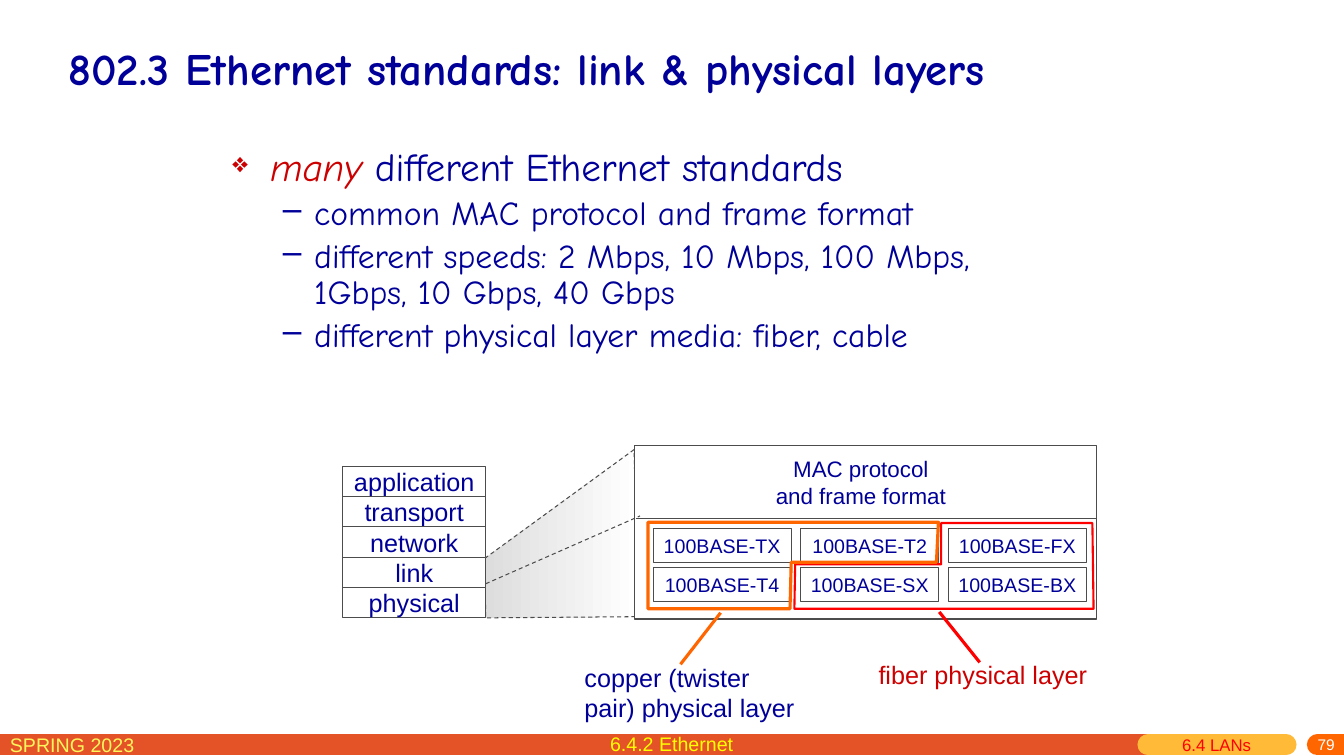
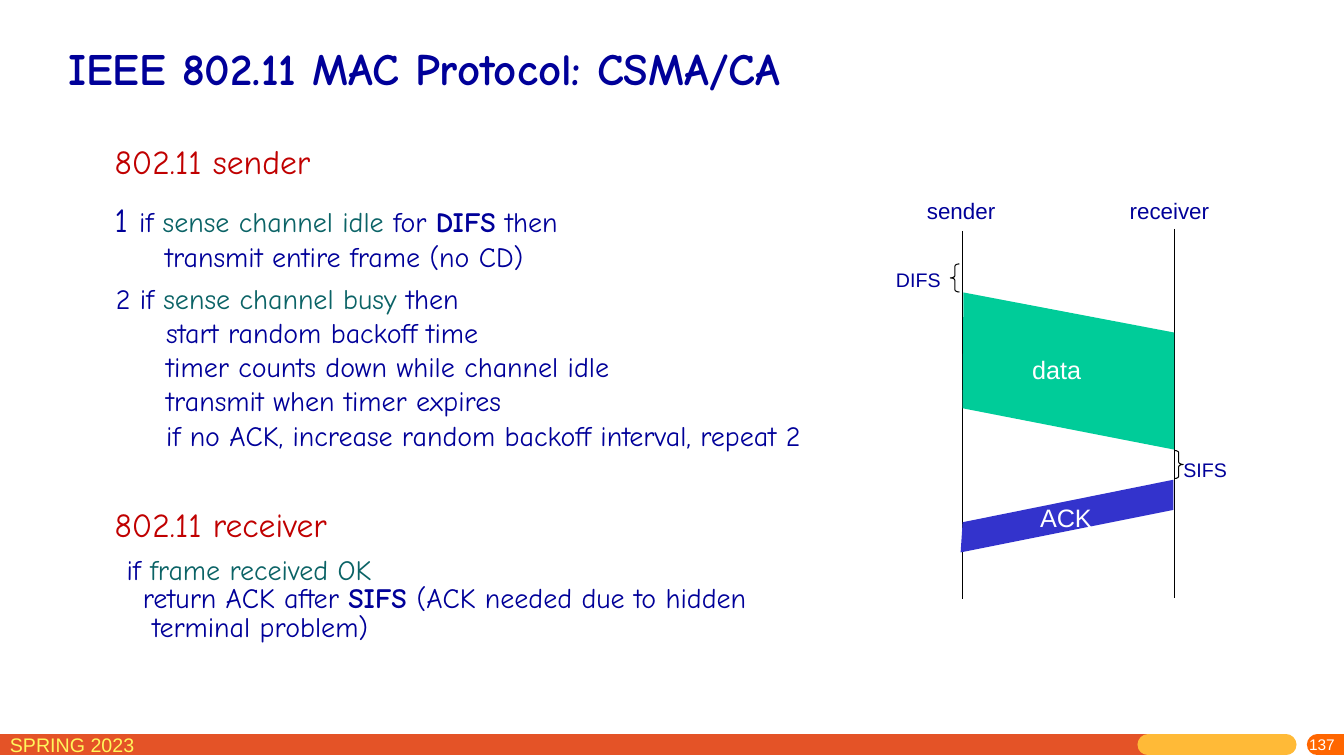
from dataclasses import dataclass

from lxml import etree
from pptx import Presentation
from pptx.dml.color import RGBColor
from pptx.enum.dml import MSO_LINE
from pptx.enum.shapes import MSO_CONNECTOR, MSO_SHAPE
from pptx.enum.text import MSO_ANCHOR, MSO_AUTO_SIZE, PP_ALIGN
from pptx.oxml.ns import qn
from pptx.util import Cm, Pt

LEFT, CENTER, RIGHT = PP_ALIGN.LEFT, PP_ALIGN.CENTER, PP_ALIGN.RIGHT
TOP, MIDDLE = MSO_ANCHOR.TOP, MSO_ANCHOR.MIDDLE
DASH = MSO_LINE.DASH
STRAIGHT = MSO_CONNECTOR.STRAIGHT
RECTANGLE = MSO_SHAPE.RECTANGLE
LEFT_BRACE, RIGHT_BRACE = MSO_SHAPE.LEFT_BRACE, MSO_SHAPE.RIGHT_BRACE
TITLE_ONLY = 5


@dataclass(frozen=True)
class Theme:
    heading_font: str = "Comic Neue"
    label_font: str = "Arial"
    navy: str = "000099"
    red: str = "CC0000"
    dark_red: str = "C00000"
    teal: str = "0B6366"
    white: str = "FFFFFF"
    black: str = "000000"
    outline: str = "4C4C4C"
    shade: str = "DDDDDD"
    fiber: str = "FF0000"
    copper: str = "FF6600"
    frame_green: str = "00CC99"
    ack_blue: str = "3333CC"
    band: str = "E45327"
    section_pill: str = "FFBA37"
    term: str = "FFF65C"
    topic: str = "FFFF00"
    title_size: int = 32
    lead_size: int = 28
    point_size: int = 24
    step_size: int = 20
    label_size: int = 18
    note_size: int = 16
    small_size: int = 14
    section_size: int = 12
    page_size: int = 11
    hairline: float = 0.75
    band_weight: int = 15


THEME = Theme()


@dataclass
class Para:
    runs: list
    left: float = 0
    first: float = 0
    spacing: float = 1.0
    before: float = 0
    after: float = 0
    bullet: str = ""
    bullet_color: str = THEME.navy
    bullet_scale: int = 100


def rgb(code):
    return RGBColor.from_string(code)


def add_bullet(properties, para):
    color = etree.SubElement(properties, qn("a:buClr"))
    etree.SubElement(color, qn("a:srgbClr")).set("val", para.bullet_color)
    scale = etree.SubElement(properties, qn("a:buSzPct"))
    scale.set("val", str(para.bullet_scale * 1000))
    etree.SubElement(properties, qn("a:buChar")).set("char", para.bullet)


def write(frame, lines, font=THEME.label_font, size=THEME.label_size,
          color=THEME.navy, bold=False, italic=False, align=LEFT, anchor=TOP,
          wrap=True, margins=(0.25, 0.13, 0.25, 0.13)):
    frame.auto_size = MSO_AUTO_SIZE.NONE
    frame.word_wrap = wrap
    frame.vertical_anchor = anchor
    (frame.margin_left, frame.margin_top,
     frame.margin_right, frame.margin_bottom) = map(Cm, margins)
    for number, line in enumerate(lines):
        para = Para([line]) if isinstance(line, str) else line
        paragraph = frame.add_paragraph() if number else frame.paragraphs[0]
        paragraph.alignment = align
        paragraph.line_spacing = para.spacing
        paragraph.space_before = Pt(para.before if number else 0)
        paragraph.space_after = Pt(para.after)
        properties = paragraph._p.get_or_add_pPr()
        properties.set("marL", str(Cm(para.left)))
        properties.set("indent", str(Cm(para.first)))
        if para.bullet:
            add_bullet(properties, para)
        for part in para.runs:
            words, change = (part, {}) if isinstance(part, str) else part
            style = {"size": size, "color": color, "bold": bold,
                     "italic": italic} | change
            run = paragraph.add_run()
            run.text = words
            run.font.name = font
            run.font.size = Pt(style["size"])
            run.font.color.rgb = rgb(style["color"])
            run.font.bold = style["bold"]
            run.font.italic = style["italic"]


class Deck:
    def __init__(self, theme):
        self.theme = theme
        self.presentation = Presentation()
        self.presentation.slide_width = Cm(33.87)
        self.presentation.slide_height = Cm(19.05)
        self.slide = None

    def start_slide(self, title, page, section="", topic=""):
        t = self.theme
        layout = self.presentation.slide_layouts[TITLE_ONLY]
        self.slide = self.presentation.slides.add_slide(layout)
        heading = self.slide.shapes.title
        heading.left, heading.top = Cm(1.47), Cm(0.71)
        heading.width, heading.height = Cm(30.94), Cm(2.01)
        write(heading.text_frame, [title], font=t.heading_font,
              size=t.title_size, bold=True, anchor=MIDDLE)
        self.footer(page, section, topic)

    def footer(self, page, section, topic):
        t = self.theme
        for start, end, color, rounded in ((0, 28.93, t.band, False),
                                           (28.93, 32.41, t.section_pill, True),
                                           (33.2, 33.87, t.copper, True)):
            self.line((start, 18.77), (end, 18.77), color, t.band_weight,
                      rounded=rounded)
        self.text((0, 18.34, 5.82, 0.79), ["SPRING 2023"],
                  size=t.small_size, color=t.term)
        self.text((27.31, 18.59, 6.58, 0.46), [page], size=t.page_size,
                  color=t.white, align=RIGHT, anchor=MIDDLE,
                  margins=(0.25, 0, 0.25, 0.13))
        if section:
            self.text((29.54, 18.39, 2.79, 0.79), [section],
                      size=t.section_size, color=t.fiber)
        if topic:
            self.text((6.73, 18.31, 20.4, 0.86), [topic],
                      size=t.small_size, color=t.topic, align=CENTER)

    def text(self, area, lines, **style):
        box = self.slide.shapes.add_textbox(*map(Cm, area))
        write(box.text_frame, lines, **style)

    def prose(self, area, lines, size):
        self.text(area, lines, font=self.theme.heading_font, size=size)

    def label(self, area, *lines, **style):
        self.text(area, lines, wrap=False, **style)

    def line(self, start, end, color, weight, dash=None, rounded=False):
        connector = self.slide.shapes.add_connector(
            STRAIGHT, *map(Cm, start), *map(Cm, end))
        self.stroke(connector, color, weight, dash)
        properties = connector._element.spPr
        if rounded:
            properties.find(qn("a:ln")).set("cap", "rnd")
        etree.SubElement(properties, qn("a:effectLst"))

    def box(self, area, *lines, fill=None, **style):
        shape = self.slide.shapes.add_shape(RECTANGLE, *map(Cm, area))
        self.paint(shape, fill, self.theme.outline, self.theme.hairline)
        if lines:
            write(shape.text_frame, lines, align=CENTER, anchor=MIDDLE,
                  wrap=False, margins=(0, 0, 0, 0), **style)

    def brace(self, kind, area):
        shape = self.slide.shapes.add_shape(kind, *map(Cm, area))
        shape.adjustments[0] = 0.25
        self.paint(shape, None, self.theme.black, self.theme.hairline)

    def polygon(self, corners, fill=None, color=None, weight=0, dash=None):
        points = [(Cm(x), Cm(y)) for x, y in corners]
        builder = self.slide.shapes.build_freeform(*points[0])
        builder.add_line_segments(points[1:], close=True)
        shape = builder.convert_to_shape()
        self.paint(shape, fill, color, weight, dash)

    def paint(self, shape, fill, color, weight, dash=None):
        shape.shadow.inherit = False
        if fill is None:
            shape.fill.background()
        elif isinstance(fill, tuple):
            shape.fill.gradient()
            shape.fill.gradient_angle = 0
            for stop, shade in zip(shape.fill.gradient_stops, fill):
                stop.color.rgb = rgb(shade)
        else:
            shape.fill.solid()
            shape.fill.fore_color.rgb = rgb(fill)
        self.stroke(shape, color, weight, dash)

    def stroke(self, shape, color, weight, dash):
        if color is None:
            shape.line.fill.background()
            return
        shape.line.color.rgb = rgb(color)
        shape.line.width = Pt(weight)
        if dash:
            shape.line.dash_style = dash


def ethernet_standards(deck):
    t = deck.theme
    deck.start_slide("802.3 Ethernet standards: link & physical layers", "79",
                     "6.4 LANs", "6.4.2 Ethernet")
    standards = [Para([("many ", {"color": t.red, "italic": True}),
                       "different Ethernet standards"],
                      0.95, -0.95, 0.9, bullet="❖", bullet_color=t.red,
                      bullet_scale=70)]
    for point in ("common MAC protocol and frame format",
                  "different speeds: 2 Mbps, 10 Mbps, 100 Mbps, "
                  "1Gbps, 10 Gbps, 40 Gbps",
                  "different physical layer media: fiber, cable"):
        standards.append(Para([(point, {"size": t.point_size})],
                              2.06, -0.79, 0.9, before=4.8, bullet="–"))
    deck.prose((5.61, 3.58, 21.59, 5.84), standards, t.lead_size)

    deck.polygon([(15.98, 11.33), (12.22, 14.07), (12.24, 15.57),
                  (16.08, 15.54)], (t.shade, t.white), t.outline,
                 t.hairline, DASH)
    layers = ("application", "transport", "network", "link", "physical")
    for row, layer in enumerate(layers):
        deck.box((8.64, 11.76 + 0.76 * row, 3.6, 0.76), layer, fill=t.white)

    deck.box((15.98, 11.23, 11.66, 4.37), fill=t.white)
    deck.line((16.03, 13.06), (27.64, 13.06), t.outline, t.hairline)
    deck.line((12.24, 14.71), (16.13, 13), t.outline, t.hairline, DASH)
    deck.label((19.28, 11.33, 4.83, 1.63), "MAC protocol", "and frame format",
               size=t.note_size, align=CENTER)
    media = (("TX", "T2", "FX"), ("T4", "SX", "BX"))
    for row, variants in enumerate(media):
        for column, variant in enumerate(variants):
            deck.box((16.46 + 3.72 * column, 13.31 + row, 3.48, 0.86),
                     f"100BASE-{variant}", size=t.small_size)

    deck.polygon([(23.72, 13.18), (23.72, 14.22), (20.04, 14.22),
                  (20.02, 15.34), (27.56, 15.34), (27.53, 13.18)],
                 color=t.fiber, weight=1.5)
    deck.line((23.67, 15.42), (24.69, 16.69), t.fiber, 2.25)
    deck.label((21.89, 16.48, 5.82, 1.02), "fiber physical layer", color=t.red)
    deck.polygon([(23.65, 13.16), (23.6, 14.17), (19.94, 14.17),
                  (19.91, 15.34), (16.33, 15.34), (16.33, 13.16)],
                 color=t.copper, weight=2.25)
    deck.line((18.16, 15.44), (17.15, 16.74), t.copper, 2.25)
    deck.label((14.48, 16.56, 5.87, 1.8), "copper (twister",
               "pair) physical layer")


def csma_ca(deck):
    t = deck.theme
    deck.start_slide("IEEE 802.11 MAC Protocol: CSMA/CA", "137")

    def role(name, after):
        return Para([(name, {"size": t.point_size, "color": t.dark_red})],
                    0.95, -0.95, 0.85, after=after)

    def condition(*runs, before=4):
        return Para(list(runs), 0.95, -0.95, 0.85, before)

    def action(words):
        return Para([words], 2.06, -0.79, 0.85, 4)

    teal, strong = {"color": t.teal}, {"bold": True}
    deck.prose((2.64, 3.58, 18.57, 3.58), [
        role("802.11 sender", 12),
        condition(("1 ", {"size": t.point_size}), "if ",
                  ("sense channel idle ", teal), "for ", ("DIFS", strong),
                  " then", before=4.8),
        action("transmit entire frame (no CD)")], t.step_size)
    deck.prose((2.67, 7.09, 19.61, 4.72), [
        condition("2 if ", ("sense channel busy ", teal), "then"),
        action("start random backoff time"),
        action("timer counts down while channel idle"),
        action("transmit when timer expires"),
        action("if no ACK, increase random backoff interval, repeat 2")],
        t.step_size)
    deck.prose((2.64, 12.73, 18.57, 4.72), [
        role("802.11 receiver", 9),
        Para(["if ", ("frame received OK", teal)], 0.3, 0, 0.85),
        Para(["return ACK after ", ("SIFS ", strong),
              "(ACK needed due to hidden terminal problem)"],
             0.95, -0.24, 0.85)], t.step_size)

    deck.line((24.26, 5.82), (24.26, 15.09), t.black, t.hairline)
    deck.line((29.59, 5.77), (29.59, 15.06), t.black, t.hairline)
    deck.label((23.11, 4.83, 2.31, 0.94), "sender", size=t.note_size)
    deck.label((28.22, 4.85, 2.54, 0.94), "receiver", size=t.note_size)
    deck.brace(LEFT_BRACE, (23.95, 6.65, 0.23, 0.71))
    deck.label((22.33, 6.63, 1.65, 0.86), "DIFS", size=t.small_size)
    deck.polygon([(24.28, 7.37), (29.59, 8.38), (29.59, 11.33),
                  (24.26, 10.29)], t.frame_green)
    deck.label((25.76, 8.81, 1.75, 1.02), "data", color=t.white)
    deck.brace(RIGHT_BRACE, (29.59, 11.35, 0.23, 0.71))
    deck.label((29.57, 11.4, 1.63, 0.86), "SIFS", size=t.small_size)
    deck.polygon([(24.21, 13.92), (29.57, 12.85), (29.57, 12.09),
                  (24.26, 13.16)], t.ack_blue)
    deck.label((25.96, 12.52, 1.83, 1.02), "ACK", color=t.white)


def main():
    deck = Deck(THEME)
    ethernet_standards(deck)
    csma_ca(deck)
    deck.presentation.save("out.pptx")


if __name__ == "__main__":
    main()
